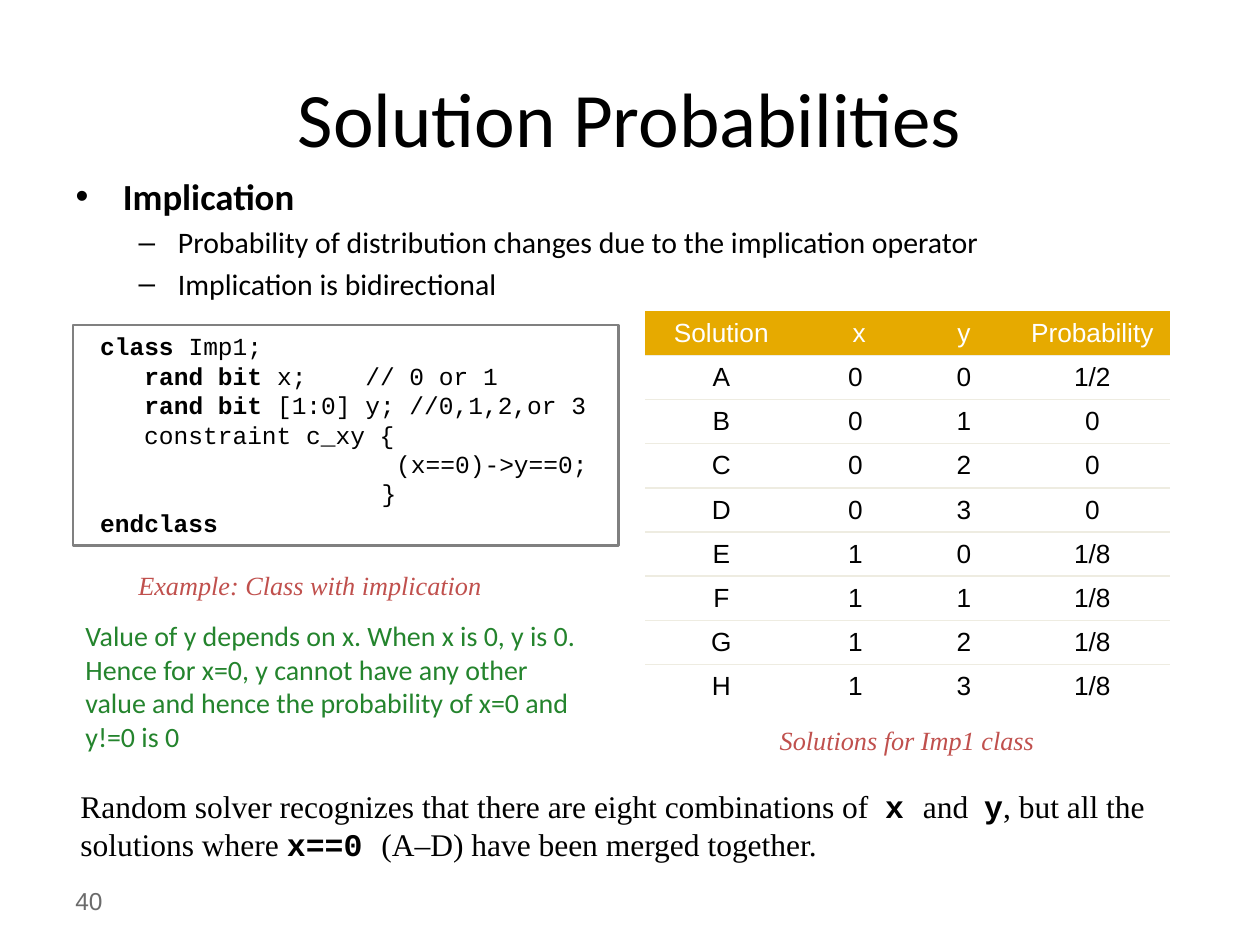
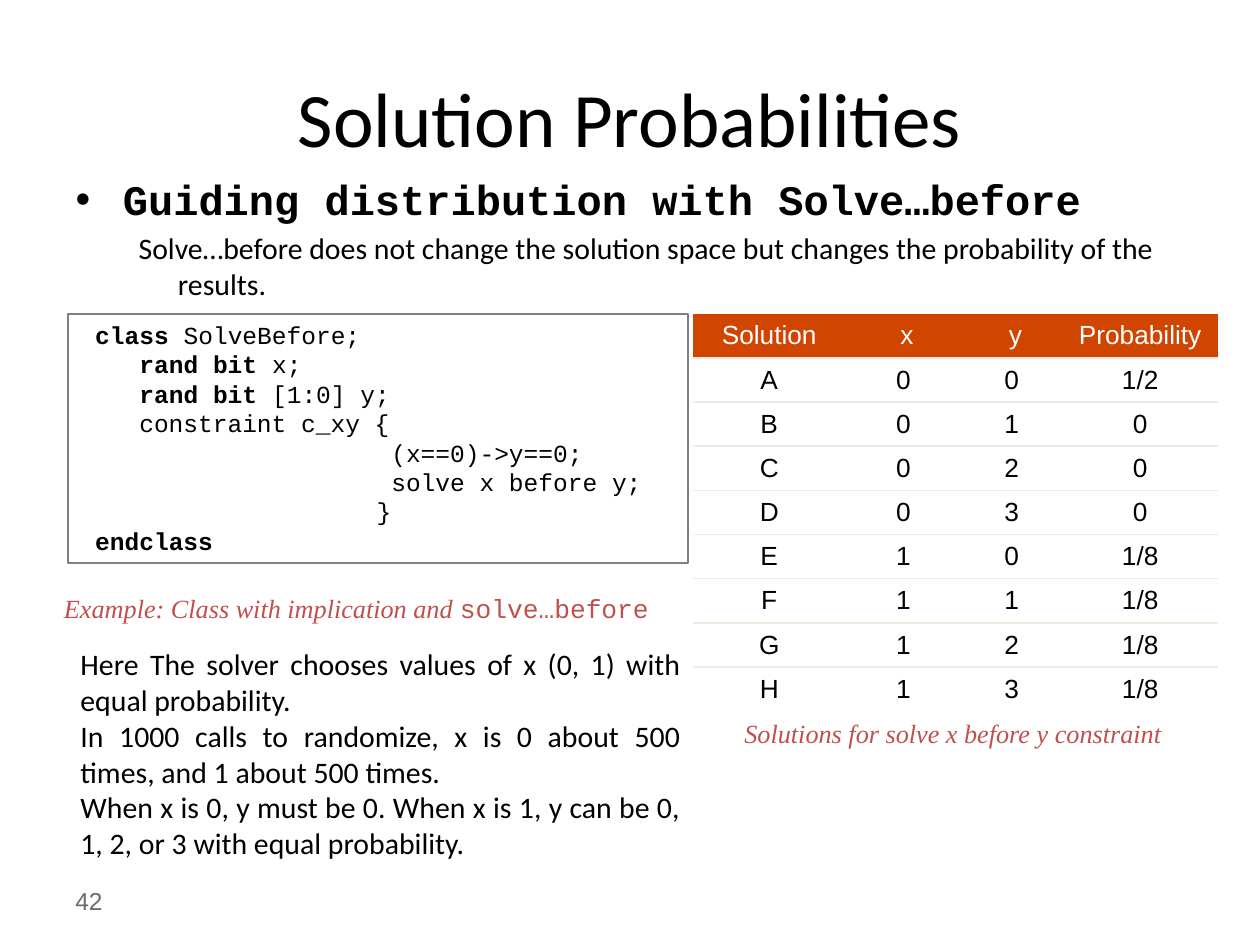
"""Builds two slides on how constraints shape the probabilities of random solutions."""
from dataclasses import dataclass
from typing import Any, NamedTuple

from lxml.etree import SubElement
from pptx import Presentation
from pptx.dml.color import RGBColor
from pptx.enum.shapes import MSO_SHAPE
from pptx.enum.text import MSO_ANCHOR as Anchor, MSO_AUTO_SIZE as AutoSize, PP_ALIGN as Align
from pptx.oxml.ns import qn
from pptx.util import Inches, Pt

BLACK = RGBColor(0x00, 0x00, 0x00)
WHITE = RGBColor(0xFF, 0xFF, 0xFF)
GRAY = RGBColor(0x80, 0x80, 0x80)
NUMBER_GRAY = RGBColor(0x6B, 0x6B, 0x6B)
RULE = RGBColor(0xEE, 0xEC, 0xE1)
AMBER = RGBColor(0xE6, 0xAA, 0x00)
ORANGE = RGBColor(0xD0, 0x45, 0x00)
RED = RGBColor(0xC0, 0x50, 0x4D)
GREEN = RGBColor(0x24, 0x84, 0x2D)

Format = dict[str, Any]
TITLE: Format = {"name": "Calibri", "size": Pt(44), "color": BLACK}
TOPIC: Format = {"name": "Calibri", "size": Pt(21), "color": BLACK, "bold": True}
CODE_TOPIC: Format = TOPIC | {"name": "Courier New", "size": Pt(24)}
DETAIL: Format = {"name": "Calibri", "size": Pt(17), "color": BLACK, "bold": False}
CODE: Format = {"name": "Courier New", "size": Pt(14), "color": BLACK}
CELL: Format = {"name": "Arial", "size": Pt(15), "color": BLACK}
CAPTION: Format = {"name": "Times New Roman", "size": Pt(15), "color": RED, "italic": True}
REMARK: Format = {"name": "Calibri", "size": Pt(16), "color": GREEN}
SUMMARY: Format = {"name": "Times New Roman", "size": Pt(18), "color": BLACK}
NUMBER: Format = {"name": "Arial", "size": Pt(14), "color": NUMBER_GRAY}

BOLD: Format = {"bold": True}
BOLD_CODE: Format = {"name": "Courier New", "bold": True}
PLAIN_CODE: Format = {"name": "Courier New", "italic": False}

NO_TABLE_STYLE = "{2D5ABB26-0587-4C30-8999-92F81FD0307C}"
COLUMN_WIDTHS = (1.21, 0.92, 0.8, 1.24)
ROW_HEIGHT = 0.35
TAB_SIZE = Inches(1)
PROBABILITIES = ("1/2", "0", "0", "0", "1/8", "1/8", "1/8", "1/8")
SOLUTIONS = [
    ("ABCDEFGH"[i], str(i // 4), str(i % 4), chance) for i, chance in enumerate(PROBABILITIES)
]


class Box(NamedTuple):
    """Left, top, width and height in inches."""

    left: float
    top: float
    width: float
    height: float

    def lengths(self) -> tuple:
        """Return the four values as lengths."""
        return tuple(Inches(value) for value in self)


class Point(NamedTuple):
    """One paragraph of the list."""

    text: str
    format: Format
    level: int = 0
    bulleted: bool = True


@dataclass
class Note:
    """A text box whose text between ** marks takes the strong format."""

    box: Box
    lines: list[str]
    format: Format
    strong: Format | None = None
    align: Align = Align.LEFT
    anchor: Anchor = Anchor.TOP


@dataclass
class Lesson:
    """The content of one slide."""

    number: str
    points: list[Point]
    code_box: Box
    code: list[str]
    table_at: tuple[float, float]
    y_label: str
    header_fill: RGBColor
    notes: list[Note]


def format_font(font: Any, values: Format) -> None:
    """Apply format values to a font."""
    for key, value in values.items():
        if key == "color":
            font.color.rgb = value
        else:
            setattr(font, key, value)


def write_lines(frame: Any, lines: list[str], base: Format, strong: Format | None = None,
                align: Align = Align.LEFT) -> None:
    """Write one paragraph per line, alternating base and strong runs at ** marks."""
    for i, line in enumerate(lines):
        paragraph = frame.add_paragraph() if i else frame.paragraphs[0]
        paragraph.alignment = align
        for j, piece in enumerate(line.split("**")):
            if piece:
                run = paragraph.add_run()
                run.text = piece
                format_font(run.font, base | (strong or {}) if j % 2 else base)


def place(placeholder: Any, box: Box) -> None:
    """Move and size a placeholder."""
    for key, length in zip(("left", "top", "width", "height"), box.lengths()):
        setattr(placeholder, key, length)
    placeholder.text_frame.auto_size = AutoSize.NONE


def add_title(slide: Any) -> None:
    """Fill the title placeholder."""
    title = slide.shapes.title
    place(title, Box(0.5, 0.3, 9, 1.25))
    title.text_frame.vertical_anchor = Anchor.MIDDLE
    write_lines(title.text_frame, ["Solution Probabilities"], TITLE, align=Align.CENTER)


def add_points(slide: Any, points: list[Point]) -> None:
    """Fill the body placeholder with the list."""
    body = slide.placeholders[1]
    place(body, Box(0.5, 1.33, 9, 4.95))
    frame = body.text_frame
    write_lines(frame, [point.text for point in points], {})
    for paragraph, point in zip(frame.paragraphs, points):
        paragraph.level = point.level
        if not point.bulleted:
            SubElement(paragraph._p.get_or_add_pPr(), qn("a:buNone"))
        format_font(paragraph.runs[0].font, point.format)
    frame.paragraphs[0].space_before = Pt(0)


def add_code(slide: Any, box: Box, code: list[str]) -> None:
    """Draw the framed code listing."""
    listing = slide.shapes.add_shape(MSO_SHAPE.RECTANGLE, *box.lengths())
    listing.shadow.inherit = False
    listing.fill.background()
    listing.line.color.rgb = GRAY
    listing.line.width = Pt(1.25)
    listing.text_frame.word_wrap = True
    listing.text_frame.vertical_anchor = Anchor.TOP
    write_lines(listing.text_frame, code, CODE, BOLD)
    for paragraph in listing.text_frame.paragraphs:
        paragraph._p.get_or_add_pPr().set("defTabSz", str(TAB_SIZE))


def add_bottom_rule(cell: Any) -> None:
    """Draw a thin line under a cell."""
    properties = cell._tc.get_or_add_tcPr()
    rule = SubElement(properties, qn("a:lnB"), w=str(Pt(1)))
    fill = SubElement(rule, qn("a:solidFill"))
    SubElement(fill, qn("a:srgbClr"), val=str(RULE))


def add_solutions(slide: Any, lesson: Lesson) -> None:
    """Draw the table of solutions and their probabilities."""
    rows = [("Solution", " x", lesson.y_label, "Probability"), *SOLUTIONS]
    box = Box(*lesson.table_at, sum(COLUMN_WIDTHS), ROW_HEIGHT * len(rows))
    table = slide.shapes.add_table(len(rows), len(COLUMN_WIDTHS), *box.lengths()).table
    table._tbl.tblPr.find(qn("a:tableStyleId")).text = NO_TABLE_STYLE
    table.horz_banding = False
    for column, width in zip(table.columns, COLUMN_WIDTHS):
        column.width = Inches(width)
    for r, values in enumerate(rows):
        table.rows[r].height = Inches(ROW_HEIGHT)
        for c, value in enumerate(values):
            cell = table.cell(r, c)
            cell.vertical_anchor = Anchor.MIDDLE
            if r < len(rows) - 1:
                add_bottom_rule(cell)
            if r == 0:
                cell.fill.solid()
                cell.fill.fore_color.rgb = lesson.header_fill
            else:
                cell.fill.background()
            color = BLACK if r else WHITE
            write_lines(cell.text_frame, [value], CELL | {"color": color}, align=Align.CENTER)


def add_note(slide: Any, note: Note) -> None:
    """Add a text box."""
    frame = slide.shapes.add_textbox(*note.box.lengths()).text_frame
    frame.word_wrap = True
    frame.vertical_anchor = note.anchor
    write_lines(frame, note.lines, note.format, note.strong, note.align)


def add_lesson(deck: Any, lesson: Lesson) -> None:
    """Add one complete slide."""
    slide = deck.slides.add_slide(deck.slide_layouts[1])
    add_note(slide, Note(Box(0.5, 6.95, 2.33, 0.4), [lesson.number], NUMBER, anchor=Anchor.MIDDLE))
    add_title(slide)
    add_points(slide, lesson.points)
    add_code(slide, lesson.code_box, lesson.code)
    add_solutions(slide, lesson)
    for note in lesson.notes:
        add_note(slide, note)


IMPLICATION = Lesson(
    number="40",
    points=[
        Point("Implication", TOPIC),
        Point("Probability of distribution changes due to the implication operator", DETAIL, 1),
        Point("Implication is bidirectional", DETAIL, 1),
    ],
    code_box=Box(0.58, 2.58, 4.33, 1.75),
    code=[
        " **class** Imp1;",
        "    **rand bit** x;    // 0 or 1",
        "    **rand bit** [1:0] y; //0,1,2,or 3",
        "    constraint c_xy {",
        "\t\t    (x==0)->y==0;",
        "\t\t   }",
        " **endclass**",
    ],
    table_at=(5.12, 2.47),
    y_label=" y ",
    header_fill=AMBER,
    notes=[
        Note(Box(0.58, 4.86, 4.17, 1.17), [
            "Value of y depends on x. When x is 0, y is 0. Hence for x=0, y cannot have any other "
            "value and hence the probability of x=0 and y!=0 is 0",
        ], REMARK),
        Note(Box(1, 4.47, 3.1, 0.35), ["Example: Class with implication"], CAPTION),
        Note(Box(6.09, 5.7, 2.4, 0.35), ["Solutions for Imp1 class"], CAPTION),
        Note(Box(0.54, 6.2, 8.66, 0.71), [
            "Random solver recognizes that there are eight combinations of  **x **and  **y**"
            ", but all the",
            "solutions where **x==0 **(A–D) have been merged together.",
        ], SUMMARY, BOLD_CODE),
    ],
)

SOLVE_BEFORE = Lesson(
    number="42",
    points=[
        Point("Guiding distribution with Solve…before", CODE_TOPIC),
        Point("Solve…before does not change the solution space but changes the probability of the "
              "results.", DETAIL, 1, bulleted=False),
    ],
    code_box=Box(0.54, 2.49, 4.92, 1.98),
    code=[
        " **class **SolveBefore;",
        "    **rand bit** x;",
        "    **rand bit** [1:0] y;",
        "    constraint c_xy {",
        "\t\t    (x==0)->y==0;",
        "\t\t    solve x before y;",
        "\t\t   }",
        " **endclass**",
    ],
    table_at=(5.5, 2.49),
    y_label=" y",
    header_fill=ORANGE,
    notes=[
        Note(Box(0.41, 4.65, 5, 0.35),
             ["Example: Class with implication and **solve…before**"], CAPTION, PLAIN_CODE),
        Note(Box(5.81, 5.64, 3.7, 0.35), ["Solutions for solve x before y constraint"], CAPTION),
        Note(Box(0.54, 5.08, 4.96, 1.87), [
            "Here The solver chooses values of x (0, 1) with equal probability.",
            "In 1000 calls to randomize, x is 0 about 500 times, and 1 about 500 times.",
            "When x is 0, y must be 0. When x is 1, y can be 0, 1, 2, or 3 with equal probability.",
        ], DETAIL, align=Align.JUSTIFY),
    ],
)


def main() -> None:
    """Build and save the deck."""
    deck = Presentation()
    deck.slide_width, deck.slide_height = Inches(10), Inches(7.5)
    for lesson in (IMPLICATION, SOLVE_BEFORE):
        add_lesson(deck, lesson)
    deck.save("out.pptx")


if __name__ == "__main__":
    main()
